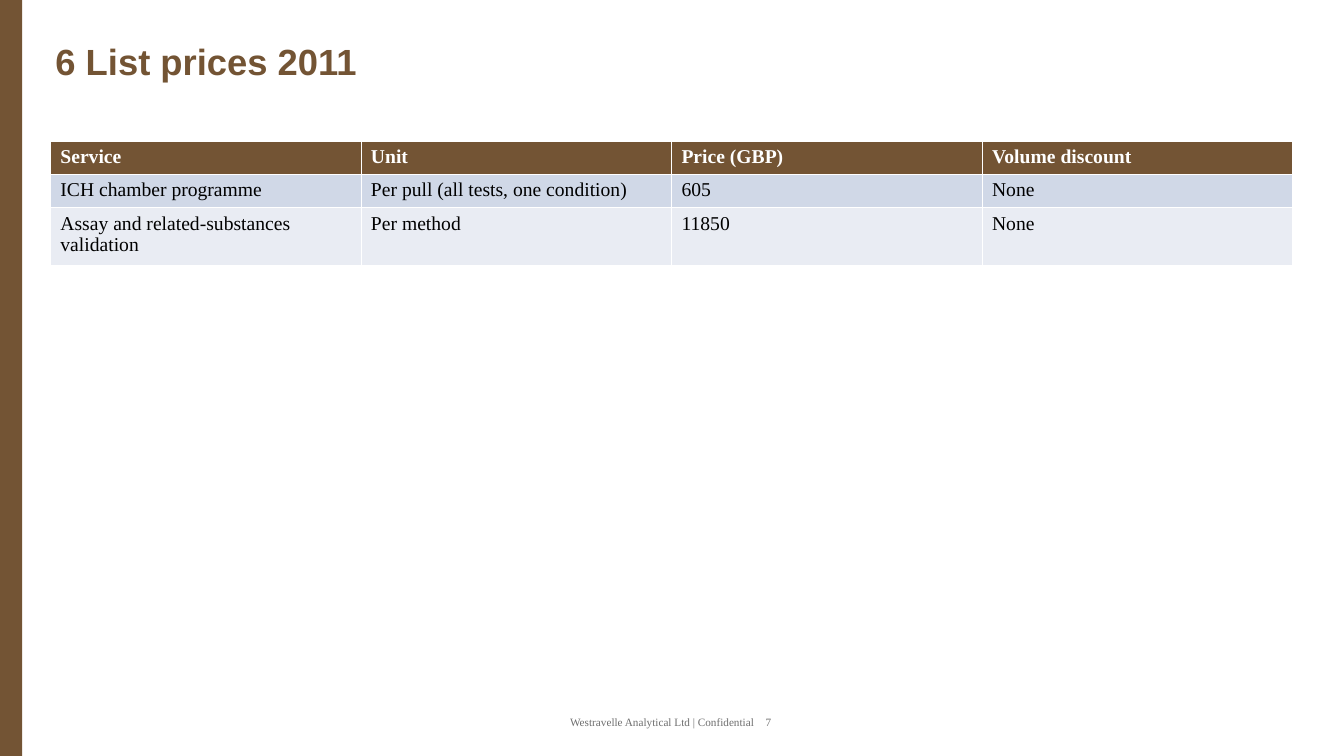
from lxml import etree
from pptx import Presentation
from pptx.dml.color import RGBColor
from pptx.enum import shapes, text
from pptx.oxml import ns
from pptx import util as u

PX = 9144  # EMU per px, 100 px to the inch
SLIDE_W, SLIDE_H = 1334, 750

BROWN = RGBColor(0x73, 0x54, 0x34)
WHITE = RGBColor(0xFF, 0xFF, 0xFF)
BLACK = RGBColor(0, 0, 0)
GREY = RGBColor(0x6E, 0x6E, 0x6E)
BANDS = [RGBColor(0xD0, 0xD8, 0xE7), RGBColor(0xE9, 0xEC, 0xF3)]
HEADING_FONT, BODY_FONT = "Arial", "Times New Roman"

PRICES = [
    ["Service", "Unit", "Price (GBP)", "Volume discount"],
    ["ICH chamber programme", "Per pull (all tests, one condition)", "605", "None"],
    ["Assay and related-substances validation", "Per method", "11850", "None"],
]
ROW_HEIGHTS = [33, 33, 57]


def emu(*lengths):
    return [u.Emu(length * PX) for length in lengths]


def style(paragraph, name, size, color, bold=False):
    font = paragraph.font
    font.name, font.size, font.bold = name, u.Pt(size), bold
    font.color.rgb = color


def add_side_bar(slide, box):
    bar = slide.shapes.add_shape(shapes.MSO_SHAPE.RECTANGLE, *emu(*box))
    bar.shadow.inherit = False
    bar.fill.solid()
    bar.fill.fore_color.rgb = BROWN
    bar.line.fill.background()


def set_heading(slide, box, wording):
    heading = slide.shapes.title
    heading.left, heading.top, heading.width, heading.height = emu(*box)
    frame = heading.text_frame
    frame.text = wording
    frame.vertical_anchor = text.MSO_ANCHOR.MIDDLE
    paragraph = frame.paragraphs[0]
    paragraph.alignment = text.PP_ALIGN.LEFT
    style(paragraph, HEADING_FONT, 26, BROWN, bold=True)


def add_borders(cell, color, width):
    """Draw all four sides of a cell; the fill must be set afterwards."""
    properties = cell._tc.get_or_add_tcPr()
    for side in ("a:lnL", "a:lnR", "a:lnT", "a:lnB"):
        line = etree.SubElement(properties, ns.qn(side), w=str(u.Pt(width)))
        fill = etree.SubElement(line, ns.qn("a:solidFill"))
        etree.SubElement(fill, ns.qn("a:srgbClr"), val=str(color))


def add_price_table(slide, box):
    frame = slide.shapes.add_table(len(PRICES), len(PRICES[0]), *emu(*box))
    table = frame.table
    for row, height in zip(table.rows, ROW_HEIGHTS):
        row.height = u.Emu(height * PX)
    for r, entries in enumerate(PRICES):
        header = r == 0
        for c, entry in enumerate(entries):
            cell = table.cell(r, c)
            cell.text = entry
            add_borders(cell, WHITE, 0.45)
            cell.fill.solid()
            cell.fill.fore_color.rgb = BROWN if header else BANDS[(r - 1) % 2]
            style(cell.text_frame.paragraphs[0], BODY_FONT, 14,
                  WHITE if header else BLACK, bold=header)


def add_footer(slide, box, notice, page, page_offset):
    """Set the page number at a tab stop page_offset px after the notice starts."""
    frame = slide.shapes.add_textbox(*emu(*box)).text_frame
    frame.word_wrap = True
    paragraph = frame.paragraphs[0]
    paragraph.text = f"{notice}\t{page}"
    tabs = etree.SubElement(paragraph._p.get_or_add_pPr(), ns.qn("a:tabLst"))
    etree.SubElement(tabs, ns.qn("a:tab"), pos=str(page_offset * PX), algn="l")
    style(paragraph, BODY_FONT, 8, GREY)


def add_price_slide(deck):
    slide = deck.slides.add_slide(deck.slide_layouts[5])
    set_heading(slide, (45, 15, 1243, 90), "6 List prices 2011")
    add_side_bar(slide, (0, 0, 22, SLIDE_H))
    add_price_table(slide, (50, 140, 1233, sum(ROW_HEIGHTS)))
    add_footer(slide, (556, 705, 221, 23),
               "Westravelle Analytical Ltd | Confidential", 7, 194)


def main():
    deck = Presentation()
    deck.slide_width, deck.slide_height = emu(SLIDE_W, SLIDE_H)
    add_price_slide(deck)
    deck.save("out.pptx")


if __name__ == "__main__":
    main()
